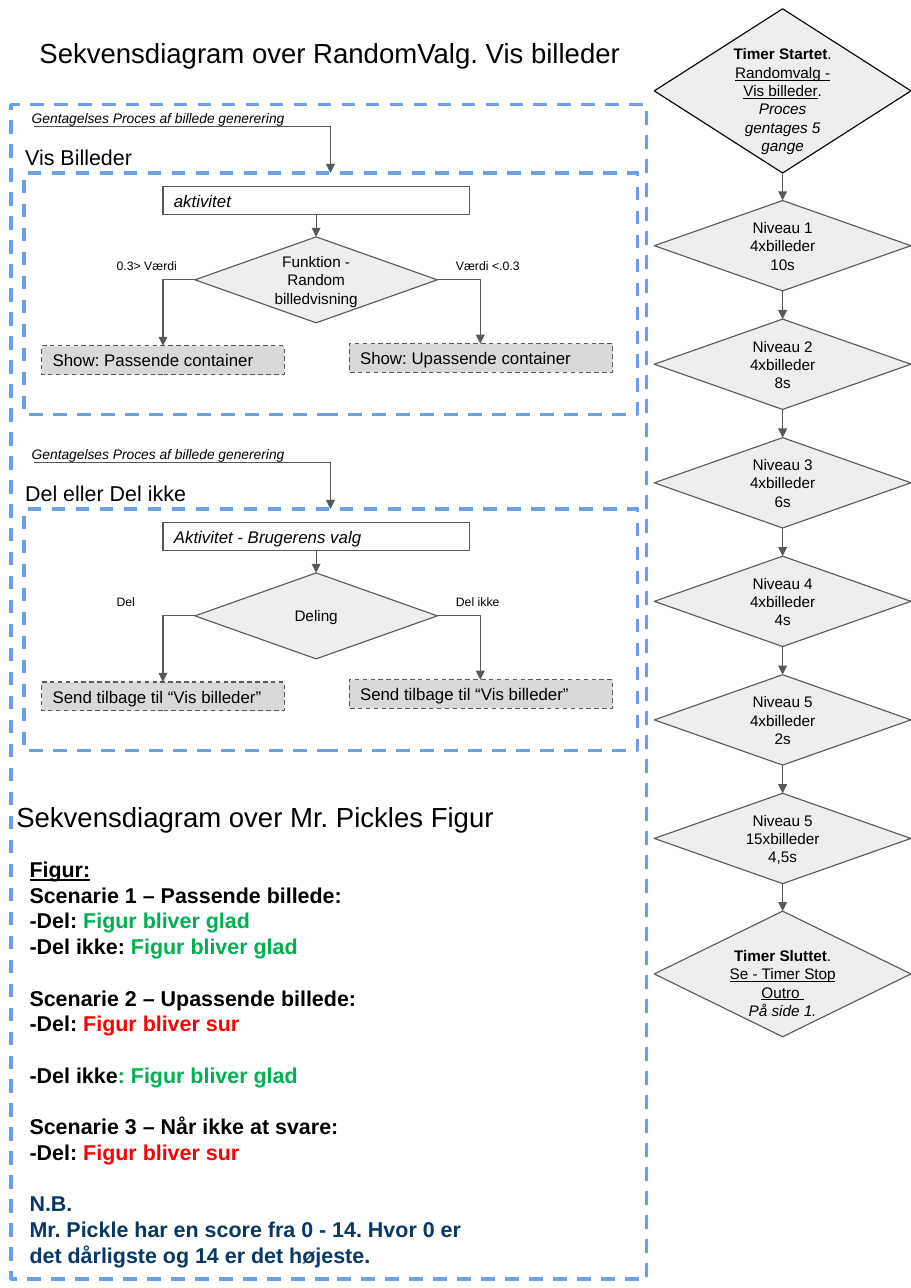
from lxml import etree
from pptx import Presentation
from pptx import util as u
from pptx.dml.color import RGBColor
from pptx.enum import dml, shapes, text
from pptx.oxml.ns import qn

BLACK, GREY, BLUE, NAVY = "000000", "595959", "6D9EEB", "073763"
GREEN, RED, PALE, SILVER = "00B050", "FF0000", "EEEEEE", "D9D9D9"
RECTANGLE = shapes.MSO_SHAPE.RECTANGLE
DECISION = shapes.MSO_SHAPE.FLOWCHART_DECISION
MIDDLE, TOP = text.MSO_ANCHOR.MIDDLE, text.MSO_ANCHOR.TOP

presentation = Presentation()
presentation.slide_width = u.Inches(8.27)
presentation.slide_height = u.Inches(11.69)
slide = presentation.slides.add_slide(presentation.slide_layouts[6])


def add_box(kind, place, paragraphs=(), size=10, fill=None, line=GREY, weight=0.75,
            dashed=False, anchor=MIDDLE, top_inset=0.1):
    """Add a shape, or a text box if kind is None.

    A paragraph is a list of runs (text, style letters b/i/u, colour);
    an empty paragraph list leaves one line of space before the next.
    """
    place = [u.Inches(length) for length in place]
    if kind is None:
        shape = slide.shapes.add_textbox(*place)
    else:
        shape = slide.shapes.add_shape(kind, *place)
        shape.shadow.inherit = False
        shape.line.color.rgb = RGBColor.from_string(line)
        shape.line.width = u.Pt(weight)
        if dashed:
            shape.line.dash_style = dml.MSO_LINE.DASH
        if fill:
            shape.fill.solid()
            shape.fill.fore_color.rgb = RGBColor.from_string(fill)
        else:
            shape.fill.background()
    frame = shape.text_frame
    frame.word_wrap = True
    frame.vertical_anchor = anchor
    frame.margin_left = frame.margin_right = frame.margin_bottom = u.Inches(0.1)
    frame.margin_top = u.Inches(top_inset)
    line_height = u.Pt(1.2 * size)
    paragraph, gap = None, 0
    for runs in paragraphs:
        if not runs:
            gap = line_height
            continue
        paragraph = frame.add_paragraph() if paragraph else frame.paragraphs[0]
        paragraph.alignment = text.PP_ALIGN.CENTER if kind == DECISION else text.PP_ALIGN.LEFT
        if len(paragraphs) > 1 or kind == DECISION:
            paragraph.line_spacing = line_height
        if gap:
            paragraph.space_before, gap = gap, 0
        for words, style, colour in runs:
            run = paragraph.add_run()
            run.text = words
            run.font.name = "Arial"
            run.font.size = u.Pt(size)
            run.font.bold = "b" in style
            run.font.italic = "i" in style
            run.font.underline = "u" in style
            run.font.color.rgb = RGBColor.from_string(colour)
    return shape


def add_arrow(start, end):
    """Join two shapes bottom to top, or two points by going across, then down."""
    if isinstance(start, tuple):
        points = [u.Inches(length) for length in start + end]
        connector = slide.shapes.add_connector(shapes.MSO_CONNECTOR.ELBOW, *points)
        connector._element.spPr.find(qn("a:prstGeom")).set("prst", "bentConnector2")
    else:
        connector = slide.shapes.add_connector(shapes.MSO_CONNECTOR.STRAIGHT, 0, 0, 0, 0)
        connector.begin_connect(start, 2)
        connector.end_connect(end, 0)
    connector.line.color.rgb = RGBColor.from_string(GREY)
    connector.line.width = u.Pt(0.75)
    properties = connector._element.spPr
    etree.SubElement(properties.find(qn("a:ln")), qn("a:tailEnd"), type="triangle")
    etree.SubElement(properties, qn("a:effectLst"))


# Headings and outer frame
for left, top, heading in [
    (0.26, 0.23, "Sekvensdiagram over RandomValg. Vis billeder"),
    (0.05, 7.16, "Sekvensdiagram over Mr. Pickles Figur"),
]:
    add_box(None, (left, top, 5.66, 0.58), [[(heading, "", BLACK)]], 18, anchor=TOP)
add_box(RECTANGLE, (0.1, 0.95, 5.77, 10.66), line=BLUE, weight=2.25, dashed=True)

# The two processes share one layout, measured from the top of their panel
processes = [
    ("Vis Billeder", "aktivitet", "Funktion - Random billedvisning",
     ("0.3> Værdi", "Show: Passende container"),
     ("Værdi <.0.3", "Show: Upassende container")),
    ("Del eller Del ikke", "Aktivitet - Brugerens valg", "Deling",
     ("Del", "Send tilbage til “Vis billeder”"),
     ("Del ikke", "Send tilbage til “Vis billeder”")),
]
for index, (name, activity_name, question, left_case, right_case) in enumerate(processes):
    top = 1.57 + 3.05 * index
    add_box(RECTANGLE, (0.22, top, 5.57, 2.19), line=BLUE, weight=2.25, dashed=True)
    add_box(None, (0.19, top - 0.58, 3.06, 0.16),
            [[("Gentagelses Proces af billede generering", "i", BLACK)]], 9)
    add_arrow((0.31, top - 0.42), (3, top))
    add_box(None, (0.13, top - 0.28, 2.2, 0.26), [[(name, "", BLACK)]], 14)
    activity = add_box(RECTANGLE, (1.48, top + 0.12, 2.78, 0.26),
                       [[(activity_name, "i", BLACK)]], 11)
    decision = add_box(DECISION, (1.77, top + 0.58, 2.2, 0.78),
                       [[(question, "", BLACK)]], fill=PALE)
    add_arrow(activity, decision)
    for (condition, result), label_left, corner, arrow_end, left, width, drop in [
        (left_case, 0.96, 1.77, 1.48, 0.38, 2.2, 1.57),
        (right_case, 4.04, 3.97, 4.36, 3.17, 2.39, 1.55),
    ]:
        add_box(None, (label_left, top + 0.71, 1.08, 0.25),
                [[(condition, "", BLACK)]], 8, anchor=TOP)
        add_box(RECTANGLE, (left, top + drop, width, 0.26),
                [[(result, "", BLACK)]], 11, fill=SILVER, dashed=True)
        add_arrow((corner, top + 0.97), (arrow_end, top + drop))

# Timer column: start, six levels at equal steps, end
timer_start = [
    [("Timer Startet", "b", BLACK), (".", "", BLACK)],
    [("Randomvalg - Vis billeder", "u", BLACK), (". ", "", BLACK),
     ("Proces gentages 5 gange", "i", BLACK)],
]
timer_end = [
    [("Timer Sluttet", "b", BLACK), (".", "", BLACK)],
    [("Se - Timer Stop Outro ", "u", BLACK)],
    [("På side 1.", "i", BLACK)],
]
levels = [
    ("Niveau 1", "4xbilleder", "10s"),
    ("Niveau 2", "4xbilleder", "8s"),
    ("Niveau 3", "4xbilleder", "6s"),
    ("Niveau 4", "4xbilleder", "4s"),
    ("Niveau 5", "4xbilleder", "2s"),
    ("Niveau 5", "15xbilleder", "4,5s"),
]
first_level, last_level = 1.82, 7.2
level_step = (last_level - first_level) / (len(levels) - 1)
steps = [(0.08, 1.49, timer_start, BLACK, 0.26)]
for index, level in enumerate(levels):
    lines = [[(words, "", BLACK)] for words in level]
    steps.append((first_level + index * level_step, 0.82, lines, GREY, 0.1))
steps.append((8.27, 1.14, timer_end, GREY, 0.26))

previous = None
for top, height, lines, outline, top_inset in steps:
    diamond = add_box(DECISION, (5.94, top, 2.33, height), lines,
                      fill=PALE, line=outline, top_inset=top_inset)
    if previous:
        add_arrow(previous, diamond)
    previous = diamond

# Scenarios for the figure
scenarios = [
    [("Figur:", "bu", BLACK)],
    [("Scenarie 1 – Passende billede:", "b", BLACK)],
    [("-Del:", "b", BLACK), (" Figur bliver glad", "b", GREEN)],
    [("-Del ikke:", "b", BLACK), (" Figur bliver glad", "b", GREEN)],
    [],
    [("Scenarie 2 – Upassende billede:", "b", BLACK)],
    [("-Del:", "b", BLACK), (" Figur bliver sur", "b", RED)],
    [],
    [("-Del ikke", "b", BLACK), (": Figur bliver glad", "b", GREEN)],
    [],
    [("Scenarie 3 – Når ikke at svare:", "b", BLACK)],
    [("-Del:", "b", BLACK), (" Figur bliver sur", "b", RED)],
    [],
    [("N.B.", "b", NAVY)],
    [("Mr. Pickle har en score fra 0 - 14. Hvor 0 er det dårligste og 14 er det højeste.",
      "b", NAVY)],
]
add_box(None, (0.17, 7.67, 4.33, 3.93), scenarios, 14, anchor=TOP)

presentation.save("out.pptx")
